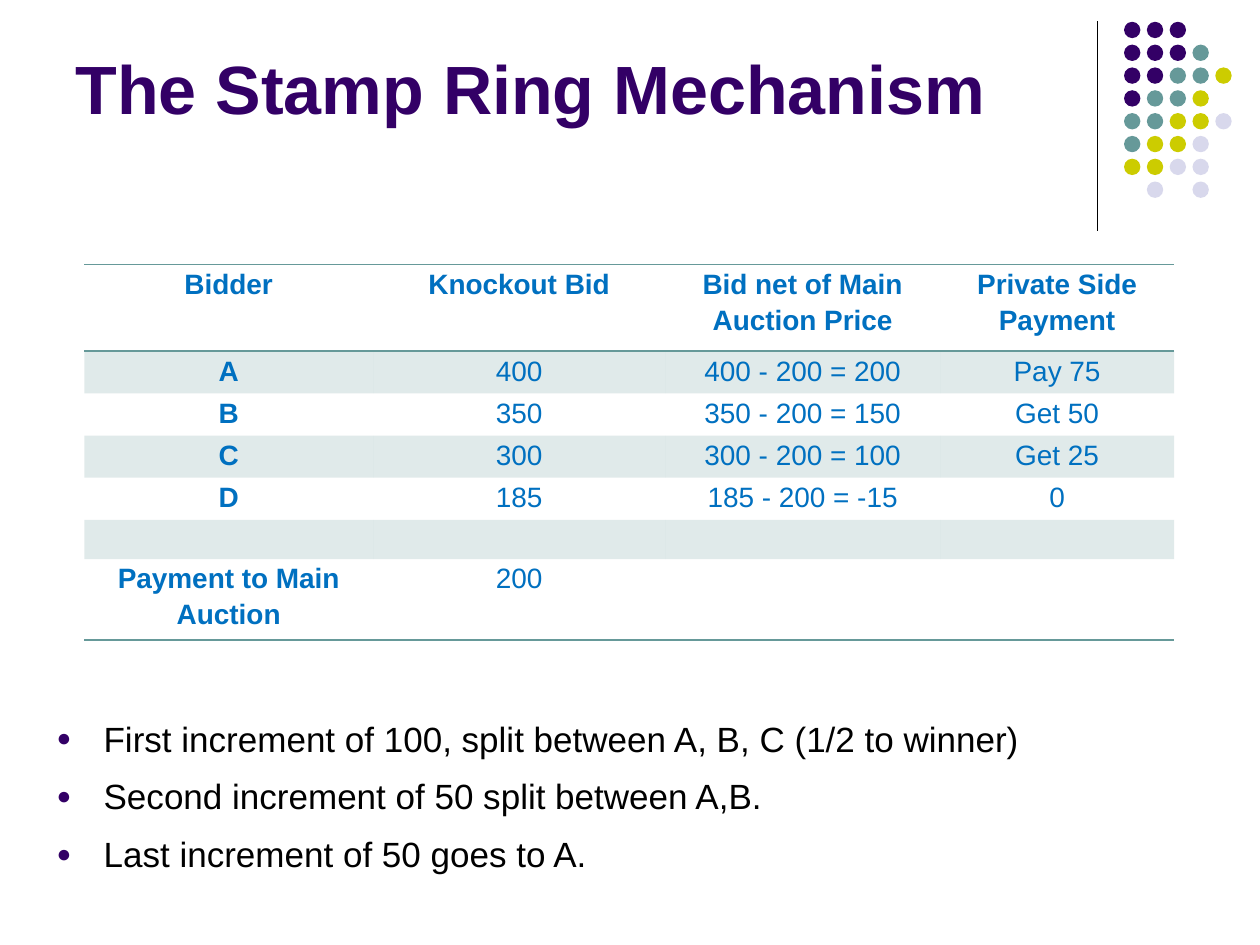
from lxml.etree import SubElement
from pptx import Presentation
from pptx.dml.color import RGBColor
from pptx.enum.shapes import MSO_CONNECTOR, MSO_SHAPE
from pptx.enum.text import MSO_ANCHOR, PP_ALIGN
from pptx.oxml import parse_xml
from pptx.oxml.ns import nsdecls, qn
from pptx.util import Cm, Pt

PURPLE = RGBColor(0x33, 0x00, 0x66)
TEAL = RGBColor(0x66, 0x99, 0x99)
LIME = RGBColor(0xCC, 0xCC, 0x00)
PALE = RGBColor(0xD8, 0xD8, 0xEC)
BLUE = RGBColor(0x00, 0x70, 0xC0)
BLACK = RGBColor(0x00, 0x00, 0x00)
NO_STYLE = "{2D5ABB26-0587-4C30-8999-92F81FD0307C}"


def add_run(para, text, size, color, bold=False):
    run = para.add_run()
    run.text = text
    run.font.name = "Arial"
    run.font.size = Pt(size)
    run.font.bold = bold
    run.font.color.rgb = color


def add_edge(cell, tag):
    edge = parse_xml(
        f'<a:{tag} {nsdecls("a")} w="12700"><a:solidFill>'
        f'<a:srgbClr val="{TEAL}"/></a:solidFill></a:{tag}>'
    )
    cell._tc.get_or_add_tcPr().insert(0, edge)


prs = Presentation()
prs.slide_width = Cm(25.4)
prs.slide_height = Cm(19.05)
slide = prs.slides.add_slide(prs.slide_layouts[5])
shapes = slide.shapes

rule = shapes.add_connector(
    MSO_CONNECTOR.STRAIGHT, Cm(22.12), Cm(0.43), Cm(22.12), Cm(4.65)
)
rule.line.color.rgb = BLACK
rule.line.width = Pt(0.75)
SubElement(rule._element.spPr, qn("a:effectLst"))

hues = {"P": PURPLE, "T": TEAL, "L": LIME, "W": PALE}
dots = ["PPP", "PPPT", "PPTTL", "PTTL", "TTLLW", "TLLW", "LLWW", " W W"]
group = shapes.add_group_shape()
for row, line in enumerate(dots):
    for col, key in enumerate(line):
        if key in hues:
            dot = group.shapes.add_shape(
                MSO_SHAPE.OVAL,
                Cm(22.66 + 0.46 * col), Cm(0.44 + 0.46 * row),
                Cm(0.33), Cm(0.33),
            )
            dot.shadow.inherit = False
            dot.fill.solid()
            dot.fill.fore_color.rgb = hues[key]
            dot.line.fill.background()

title = shapes.title
title.left, title.top = Cm(1.27), Cm(0.64)
title.width, title.height = Cm(20.96), Cm(2.08)
title.text_frame.vertical_anchor = MSO_ANCHOR.BOTTOM
para = title.text_frame.paragraphs[0]
para.alignment = PP_ALIGN.LEFT
add_run(para, "The Stamp Ring Mechanism", 39, PURPLE, True)

rows = [
    ["Bidder", "Knockout Bid", "Bid net of Main Auction Price",
     "Private Side Payment"],
    ["A", "400", "400 - 200 = 200", "Pay 75"],
    ["B", "350", "350 - 200 = 150", "Get 50"],
    ["C", "300", "300 - 200 = 100", "Get 25"],
    ["D", "185", "185 - 200 = -15", "0"],
    ["", "", "", ""],
    ["Payment to Main Auction", "200", "", ""],
]
widths = [5.82, 5.89, 5.54, 4.72]
heights = [1.75, 0.85, 0.85, 0.85, 0.85, 0.79, 1.63]
table = shapes.add_table(
    len(rows), len(widths), Cm(1.7), Cm(5.33), Cm(sum(widths)), Cm(sum(heights))
).table
table.first_row = True
table.horz_banding = False
table._tbl.tblPr.find(qn("a:tableStyleId")).text = NO_STYLE
for col, width in enumerate(widths):
    table.columns[col].width = Cm(width)
for row, (height, texts) in enumerate(zip(heights, rows)):
    table.rows[row].height = Cm(height)
    for col, text in enumerate(texts):
        cell = table.cell(row, col)
        cell.margin_left = cell.margin_right = Cm(0.18)
        cell.margin_top = cell.margin_bottom = 0
        if row % 2:
            cell.fill.solid()
            cell.fill.fore_color.rgb = TEAL
            tint = cell._tc.tcPr.find(".//" + qn("a:srgbClr"))
            SubElement(tint, qn("a:alpha"), val="20000")
        else:
            cell.fill.background()
        if row in (0, len(rows) - 1):
            add_edge(cell, "lnB")
        if row == 0:
            add_edge(cell, "lnT")
        if text:
            para = cell.text_frame.paragraphs[0]
            para.alignment = PP_ALIGN.CENTER
            para.line_spacing = 1.15
            add_run(para, text, 16, BLUE, row == 0 or col == 0)

notes = [
    "First increment of 100, split between A, B, C (1/2 to winner)",
    "Second increment of 50 split between A,B.",
    "Last increment of 50 goes to A.",
]
frame = shapes.add_textbox(Cm(0.89), Cm(14.33), Cm(22.86), Cm(3.81)).text_frame
frame.word_wrap = True
for num, note in enumerate(notes):
    para = frame.add_paragraph() if num else frame.paragraphs[0]
    para.space_after = Pt(9)
    props = para._p.get_or_add_pPr()
    props.set("marL", str(Cm(0.95)))
    props.set("indent", str(-Cm(0.95)))
    color = SubElement(props, qn("a:buClr"))
    SubElement(color, qn("a:srgbClr"), val=str(PURPLE))
    SubElement(props, qn("a:buSzPct"), val="70000")
    SubElement(props, qn("a:buFont"), typeface="Arial")
    SubElement(props, qn("a:buChar"), char="●")
    add_run(para, note, 20, BLACK)

prs.save("out.pptx")
